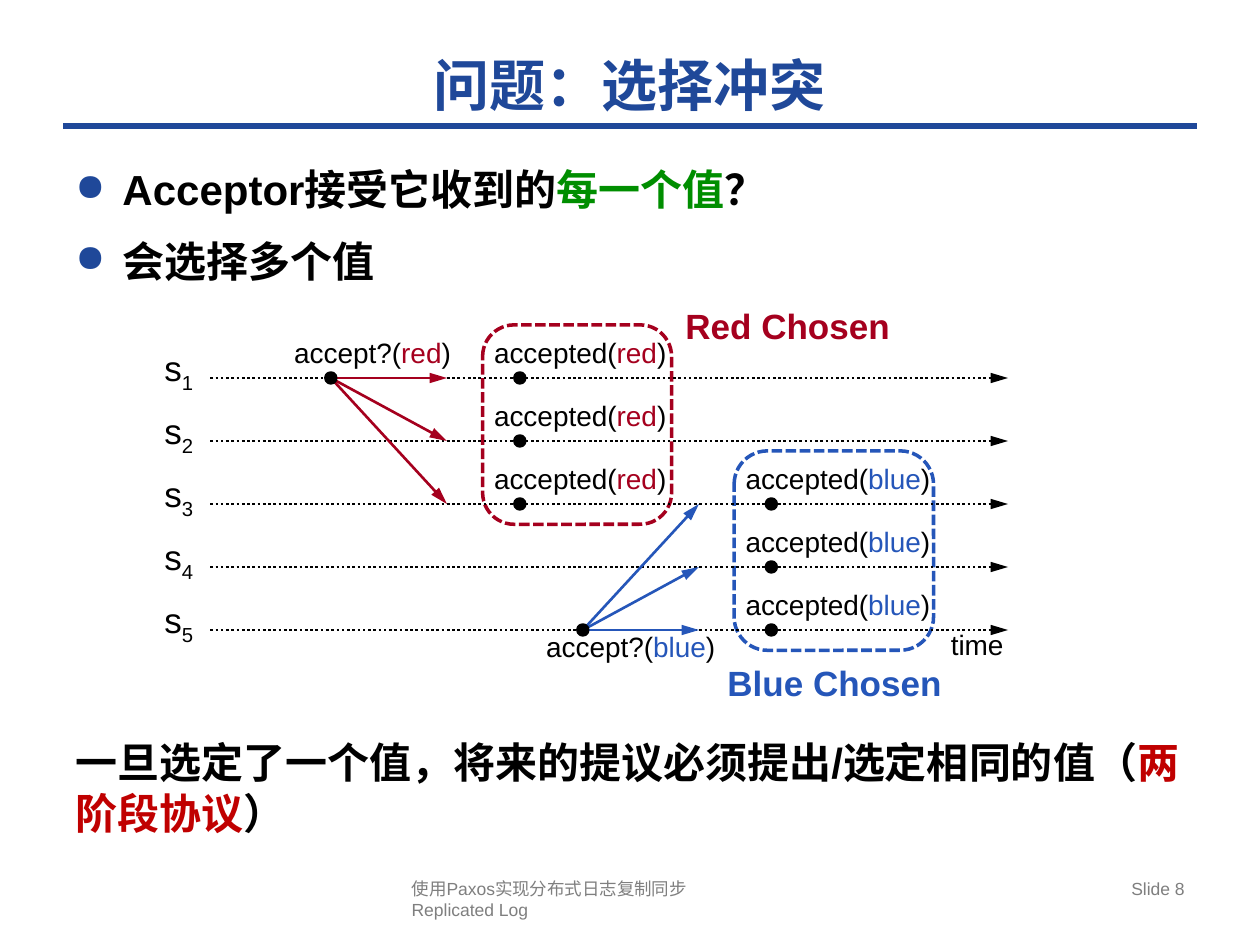
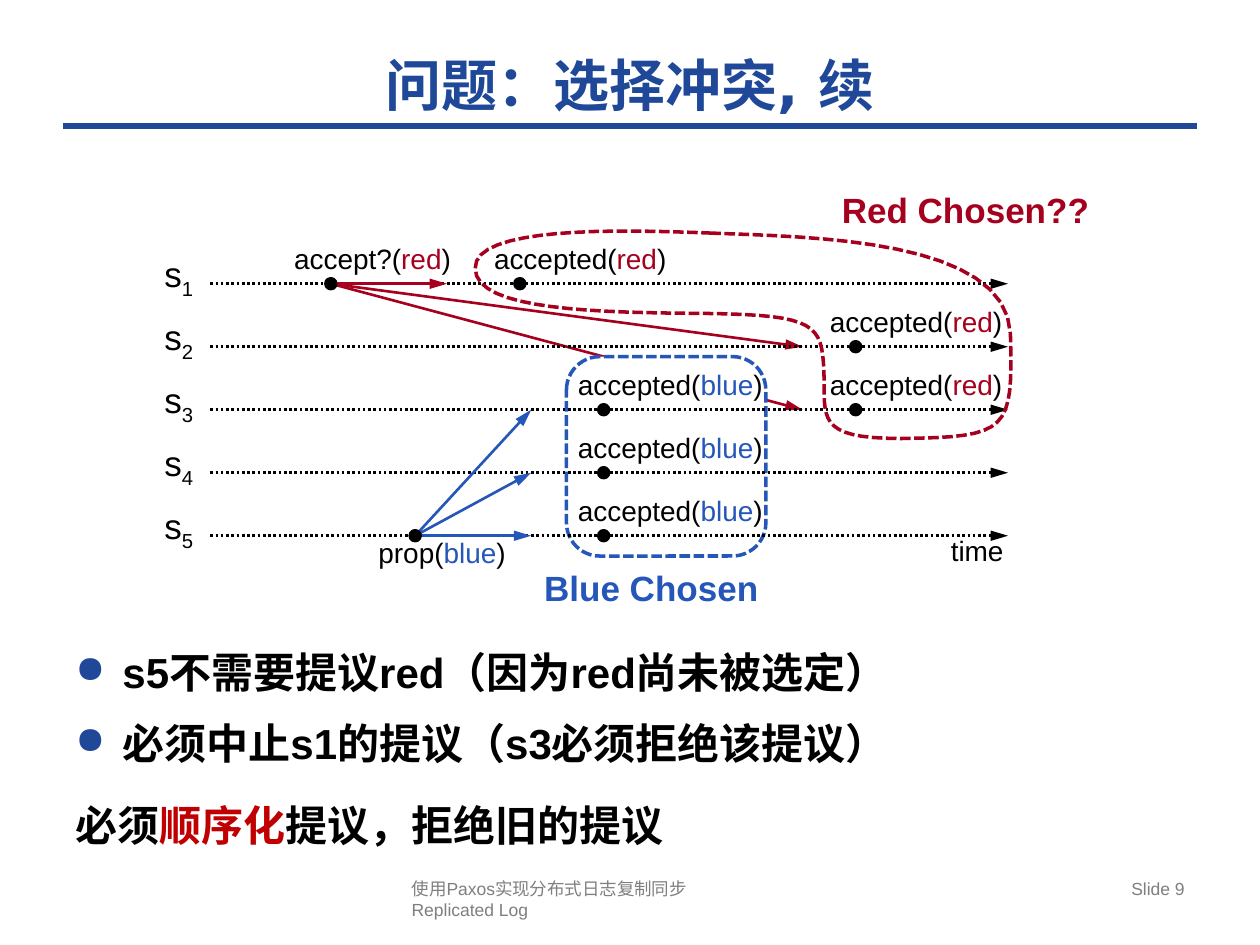
import pptx
import pptx.dml.color
import pptx.enum.dml
import pptx.enum.shapes
import pptx.enum.text
import pptx.oxml.ns
import pptx.util
from lxml import etree

Cm, Pt = pptx.util.Cm, pptx.util.Pt
Dash = pptx.enum.dml.MSO_LINE
Shape = pptx.enum.shapes.MSO_SHAPE
Align = pptx.enum.text.PP_ALIGN
Anchor = pptx.enum.text.MSO_ANCHOR

HUES = {
    "navy": "1F4899", "black": "000000", "white": "FFFFFF", "green": "008E00",
    "alert": "C00000", "red": "A5001E", "blue": "2556B9", "gray": "7F7F7F",
}
PITCH = 1.27
REACH = 2.34
SEND = 6.67
TAKE = 10.48
LOOP = [
    (14.35, 4.7),
    (12.4, 4.62), (9.55, 4.57), (9.58, 5.41),
    (9.58, 6.27), (12.09, 6.3), (14.27, 6.32),
    (16.46, 6.35), (16.56, 6.55), (16.61, 7.47),
    (16.64, 8.41), (16.41, 8.84), (18.16, 8.84),
    (20.35, 8.81), (20.42, 8.69), (20.37, 6.73),
    (20.29, 4.8), (16.33, 4.78), (14.35, 4.7),
]


def hue(name):
    """Return the named colour."""
    return pptx.dml.color.RGBColor.from_string(HUES[name])


def node(parent, tag, **attrs):
    """Append a drawing element to parent."""
    return etree.SubElement(parent, pptx.oxml.ns.qn("a:" + tag), attrs)


def pen(shape, color, width, dash=None):
    """Style the line of a shape or connector."""
    shape.line.color.rgb = hue(color)
    shape.line.width = Pt(width)
    if dash:
        shape.line.dash_style = dash


def write(para, runs, size, font="Arial", bold=False):
    """Add (text, colour) runs to a paragraph."""
    for text, color in runs:
        run = para.add_run()
        run.text = text
        run.font.size = Pt(size)
        run.font.name = font
        run.font.bold = bold
        run.font.color.rgb = hue(color)


def frame(slide, left, top, width, height, inset=True):
    """Add a wrapping text box and return its frame."""
    box = slide.shapes.add_textbox(Cm(left), Cm(top), Cm(width), Cm(height))
    body = box.text_frame
    body.word_wrap = True
    if not inset:
        body.margin_left = body.margin_right = 0
        body.margin_top = body.margin_bottom = 0
    return body


def label(slide, left, top, width, runs, size=16, bold=False, align=Align.LEFT):
    """Add a one-line label without insets."""
    para = frame(slide, left, top, width, size * 0.043, False).paragraphs[0]
    para.alignment = align
    write(para, runs, size, bold=bold)
    return para


def link(slide, start, end, color, width=1.5, dash=None, head=True):
    """Draw a straight line, with an arrowhead if wanted."""
    kind = pptx.enum.shapes.MSO_CONNECTOR.STRAIGHT
    line = slide.shapes.add_connector(kind, *map(Cm, start + end))
    pen(line, color, width, dash)
    if head:
        node(line.line._get_or_add_ln(), "tailEnd", type="triangle", w="med", len="lg")
    node(line._element.spPr, "effectLst")


def solid(slide, kind, left, top, width, height, fill):
    """Add a filled preset shape without shadow."""
    shape = slide.shapes.add_shape(kind, Cm(left), Cm(top), Cm(width), Cm(height))
    shape.shadow.inherit = False
    shape.fill.solid()
    shape.fill.fore_color.rgb = hue(fill)
    return shape


def dot(slide, x, y):
    """Mark an event on a lane."""
    pen(solid(slide, Shape.OVAL, x - 0.1, y - 0.1, 0.2, 0.2, "black"), "black", 2)


def call(verb, value):
    """Return the runs of a call with a coloured value."""
    return [(verb + "(", "black"), (value, value), (")", "black")]


def send(slide, x, y, verb, value, drop, ends):
    """Draw a proposal with arrows to the given points."""
    label(slide, x - 0.74, y + drop, 3.81, call(verb, value))
    for end in ends:
        link(slide, (x, y), end, value)
    dot(slide, x, y)


def take(slide, x, lanes, value):
    """Mark acceptance of a value on several lanes."""
    for y in lanes:
        label(slide, x - 0.52, y - 0.85, 4.88, call("accepted", value))
        dot(slide, x, y)


def group(slide, x, y, width, color):
    """Frame three acceptances with a dashed box."""
    box = solid(slide, Shape.ROUNDED_RECTANGLE, x - 0.75, y - 1.07, width, 4.02, "white")
    pen(box, color, 2, Dash.SQUARE_DOT)


def tag(slide, left, top, width, text, color):
    """Add a bold caption for a chosen value."""
    label(slide, left, top, width, [(text, color)], 20, True, Align.CENTER)


def lanes(slide, rows):
    """Draw the server time lines and their names."""
    for num, y in enumerate(rows, 1):
        link(slide, (4.24, y), (20.32, y), "black", dash=Dash.ROUND_DOT)
        para = label(slide, 2.97, y - 0.63, 1.27, [("s", "black"), (str(num), "black")],
                     20, align=Align.CENTER)
        para.runs[1].font._element.set("baseline", "-25000")
    label(slide, 18.85, rows[-1] - 0.05, 1.7, [("time", "black")], align=Align.CENTER)


def curve(knots, steps=16):
    """Return points along joined cubic Bezier curves."""
    points = []
    for i in range(0, len(knots) - 1, 3):
        for step in range(1, steps + 1):
            t = step / steps
            parts = ((1 - t) ** 3, 3 * t * (1 - t) ** 2, 3 * t * t * (1 - t), t ** 3)
            points.append(tuple(
                Cm(sum(w * k[axis] for w, k in zip(parts, knots[i:i + 4])))
                for axis in (0, 1)))
    return points


def loop(slide, knots, color):
    """Draw a closed dashed curve."""
    points = curve(knots)
    path = slide.shapes.build_freeform(*points[-1])
    path.add_line_segments(points[:-1], close=True)
    shape = path.convert_to_shape()
    shape.shadow.inherit = False
    shape.fill.background()
    pen(shape, color, 2, Dash.SQUARE_DOT)


def prose(slide, top, height, items):
    """Add bold paragraphs from (bulleted, runs) items."""
    body = frame(slide, 1.27, top, 22.86, height)
    for i, (mark, runs) in enumerate(items):
        para = body.add_paragraph() if i else body.paragraphs[0]
        para.space_before = Pt(12 if mark else 18)
        if mark:
            props = para._p.get_or_add_pPr()
            props.set("marL", str(Cm(0.95)))
            props.set("indent", str(-Cm(0.95)))
            node(node(props, "buClr"), "srgbClr", val=HUES["navy"])
            node(props, "buSzPct", val="90000")
            node(props, "buChar", char="●")
        write(para, runs, 24, bold=True)


def page(deck, title, num):
    """Add a slide with its title, rule and footer."""
    slide = deck.slides.add_slide(deck.slide_layouts[6])
    link(slide, (1.27, 2.54), (24.13, 2.54), "navy", 4, head=False)
    head = frame(slide, 1.27, 0.84, 22.86, 1.7)
    head.vertical_anchor = Anchor.MIDDLE
    head.paragraphs[0].alignment = Align.CENTER
    write(head.paragraphs[0], [(title, "navy")], 32, "DejaVu Sans", True)
    foot = frame(slide, 8.05, 17.58, 9.53, 1.09).paragraphs[0]
    write(foot, [("使用Paxos实现分布式日志复制同步", "gray")], 10)
    foot.add_line_break()
    write(foot, [("Replicated Log", "gray")], 10)
    side = frame(slide, 18.21, 17.58, 5.92, 1.09).paragraphs[0]
    side.alignment = Align.RIGHT
    write(side, [(f"Slide {num}", "gray")], 10)
    return slide


def clash(deck):
    """Build the slide on conflicting choices."""
    slide = page(deck, "问题：选择冲突", 8)
    rows = [7.62 + PITCH * i for i in range(5)]
    start, late = 11.75, 15.55
    prose(slide, 3.18, 2.8, [
        (True, [("Acceptor接受它收到的", "black"), ("每一个值", "green"), ("？", "black")]),
        (True, [("会选择多个值", "black")]),
    ])
    group(slide, TAKE, rows[0], 3.81, "red")
    group(slide, late, rows[2], 4.02, "blue")
    lanes(slide, rows)
    send(slide, SEND, rows[0], "accept?", "red", -0.85,
         [(SEND + REACH, y) for y in rows[:3]])
    send(slide, start, rows[4], "accept?", "blue", 0,
         [(start + REACH, y) for y in rows[2:]])
    take(slide, TAKE, rows[:3], "red")
    take(slide, late, rows[2:], "blue")
    tag(slide, 13.76, 6.14, 4.24, "Red Chosen", "red")
    tag(slide, 14.18, 13.34, 5.29, "Blue Chosen", "blue")
    prose(slide, 14.73, 2.3, [
        (False, [("一旦选定了一个值，将来的提议必须提出/选定相同的值（", "black"),
                 ("两阶段协议", "alert"), ("）", "black")]),
    ])


def order(deck):
    """Build the slide on ordering proposals."""
    slide = page(deck, "问题：选择冲突, 续", 9)
    rows = [5.72 + PITCH * i for i in range(5)]
    start, mid, late = 8.37, 12.17, 17.25
    for y in rows[1:3]:
        link(slide, (SEND, rows[0]), (16.18, y), "red")
    group(slide, mid, rows[2], 4.02, "blue")
    lanes(slide, rows)
    send(slide, SEND, rows[0], "accept?", "red", -0.85, [(SEND + REACH, rows[0])])
    send(slide, start, rows[4], "prop", "blue", 0,
         [(start + REACH, y) for y in rows[2:]])
    take(slide, TAKE, rows[:1], "red")
    take(slide, mid, rows[2:], "blue")
    take(slide, late, rows[1:3], "red")
    loop(slide, LOOP, "red")
    tag(slide, 16.71, 3.81, 5.51, "Red Chosen??", "red")
    tag(slide, 10.59, 11.43, 5.08, "Blue Chosen", "blue")
    prose(slide, 12.9, 4.65, [
        (True, [("s5不需要提议red（因为red尚未被选定）", "black")]),
        (True, [("必须中止s1的提议（s3必须拒绝该提议）", "black")]),
        (False, [("必须", "black"), ("顺序化", "alert"), ("提议，拒绝旧的提议", "black")]),
    ])


def main():
    """Build and save the deck."""
    deck = pptx.Presentation()
    deck.slide_width, deck.slide_height = Cm(25.4), Cm(19.05)
    clash(deck)
    order(deck)
    deck.save("out.pptx")


if __name__ == "__main__":
    main()
